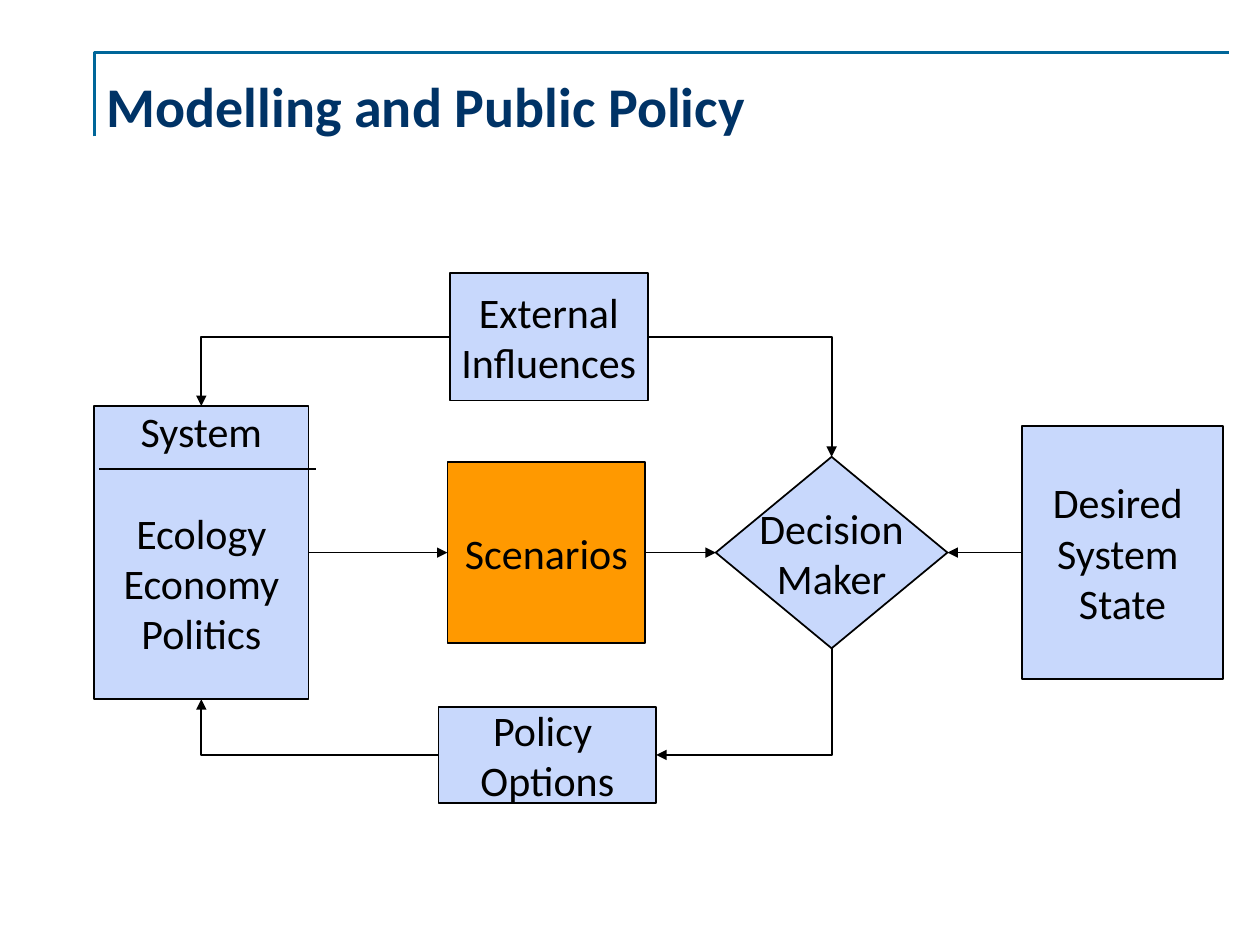
from dataclasses import dataclass

from lxml import etree
from pptx import Presentation
from pptx import util as u
from pptx.dml.color import RGBColor
from pptx.enum import shapes, text
from pptx.oxml.ns import qn

NAVY = RGBColor(0x00, 0x33, 0x66)
TEAL = RGBColor(0x00, 0x66, 0x99)
BLACK = RGBColor(0x00, 0x00, 0x00)
PALE_BLUE = RGBColor(0xC8, 0xD8, 0xFC)
ORANGE = RGBColor(0xFF, 0x99, 0x00)
FONT = "Calibri"

TOP, LEFT, BOTTOM, RIGHT = range(4)
MIDDLE_ROW = 11.14
RECTANGLE = shapes.MSO_SHAPE.RECTANGLE
DIAMOND = shapes.MSO_SHAPE.DIAMOND


@dataclass
class Node:
    name: str
    label: str
    left: float
    middle: float
    width: float
    height: float
    fill: RGBColor = PALE_BLUE
    outline: shapes.MSO_SHAPE = RECTANGLE


@dataclass
class Link:
    start: str
    start_side: int
    end: str
    end_side: int
    bent: bool = False
    arrow: str = "tailEnd"


NODES = [
    Node("system", "System\nEcology\nEconomy\nPolitics", 1.9, MIDDLE_ROW, 4.32, 5.91),
    Node("scenarios", "Scenarios", 9.02, MIDDLE_ROW, 3.99, 3.66, ORANGE),
    Node("decision", "Decision\nMaker", 14.43, MIDDLE_ROW, 4.67, 3.86, outline=DIAMOND),
    Node("desired", "Desired \nSystem \vState", 20.6, MIDDLE_ROW, 4.06, 5.11),
    Node("external", "External\nInfluences", 9.07, 6.79, 3.99, 2.57),
    Node("policy", "Policy \nOptions", 8.84, 15.22, 4.39, 1.93),
]

LINKS = [
    Link("external", LEFT, "system", TOP, bent=True),
    Link("external", RIGHT, "decision", TOP, bent=True),
    Link("policy", LEFT, "system", BOTTOM, bent=True),
    Link("policy", RIGHT, "decision", BOTTOM, bent=True, arrow="headEnd"),
    Link("system", RIGHT, "scenarios", LEFT),
    Link("scenarios", RIGHT, "decision", LEFT),
    Link("desired", LEFT, "decision", RIGHT),
]


def style_text(frame, size: int, colour: RGBColor, align, bold: bool = False) -> None:
    frame.vertical_anchor = text.MSO_ANCHOR.MIDDLE
    for para in frame.paragraphs:
        para.alignment = align
        para.font.name = FONT
        para.font.size = u.Pt(size)
        para.font.bold = bold
        para.font.color.rgb = colour


def draw_title(page) -> None:
    left, top = u.Cm(1.9), u.Cm(1.06)
    builder = page.shapes.build_freeform(left, u.Cm(2.75))
    builder.add_line_segments([(left, top), (u.Cm(24.77), top)], close=False)
    bracket = builder.convert_to_shape()
    bracket.shadow.inherit = False
    bracket.fill.background()
    bracket.line.color.rgb = TEAL
    bracket.line.width = u.Pt(1.5)

    box = page.shapes.add_textbox(left, top, u.Cm(22.65), u.Cm(2.12))
    box.text_frame.word_wrap = True
    box.text_frame.text = "Modelling and Public Policy"
    style_text(box.text_frame, 32, NAVY, text.PP_ALIGN.LEFT, bold=True)


def draw_node(page, node: Node):
    box = page.shapes.add_shape(
        node.outline, u.Cm(node.left), u.Cm(node.middle - node.height / 2),
        u.Cm(node.width), u.Cm(node.height))
    box.shadow.inherit = False
    box.fill.solid()
    box.fill.fore_color.rgb = node.fill
    box.line.color.rgb = BLACK
    box.line.width = u.Pt(1)
    box.text_frame.word_wrap = False
    box.text_frame.text = node.label
    style_text(box.text_frame, 24, BLACK, text.PP_ALIGN.CENTER)
    return box


def draw_line(page, kind, x1: float = 0, y1: float = 0, x2: float = 0, y2: float = 0):
    line = page.shapes.add_connector(kind, u.Cm(x1), u.Cm(y1), u.Cm(x2), u.Cm(y2))
    line.line.color.rgb = BLACK
    line.line.width = u.Pt(1)
    etree.SubElement(line._element.spPr, qn("a:effectLst"))
    return line


def draw_link(page, link: Link, boxes: dict) -> None:
    kinds = shapes.MSO_CONNECTOR
    line = draw_line(page, kinds.ELBOW if link.bent else kinds.STRAIGHT)
    line.begin_connect(boxes[link.start], link.start_side)
    line.end_connect(boxes[link.end], link.end_side)
    properties = line._element.spPr
    if link.bent:
        properties.find(qn("a:prstGeom")).set("prst", "bentConnector2")
    arrow = etree.SubElement(properties.find(qn("a:ln")), qn(f"a:{link.arrow}"))
    arrow.set("type", "triangle")


def main() -> None:
    deck = Presentation()
    deck.slide_width, deck.slide_height = u.Cm(25.4), u.Cm(19.05)
    page = deck.slides.add_slide(deck.slide_layouts[6])
    draw_title(page)
    boxes = {node.name: draw_node(page, node) for node in NODES}

    system = boxes["system"].text_frame
    system.vertical_anchor = text.MSO_ANCHOR.TOP
    system.margin_top = 0
    system.paragraphs[1].space_before = u.Pt(29)
    draw_line(page, shapes.MSO_CONNECTOR.STRAIGHT, 2, 9.45, 6.38, 9.45)

    for link in LINKS:
        draw_link(page, link, boxes)
    deck.save("out.pptx")


if __name__ == "__main__":
    main()
